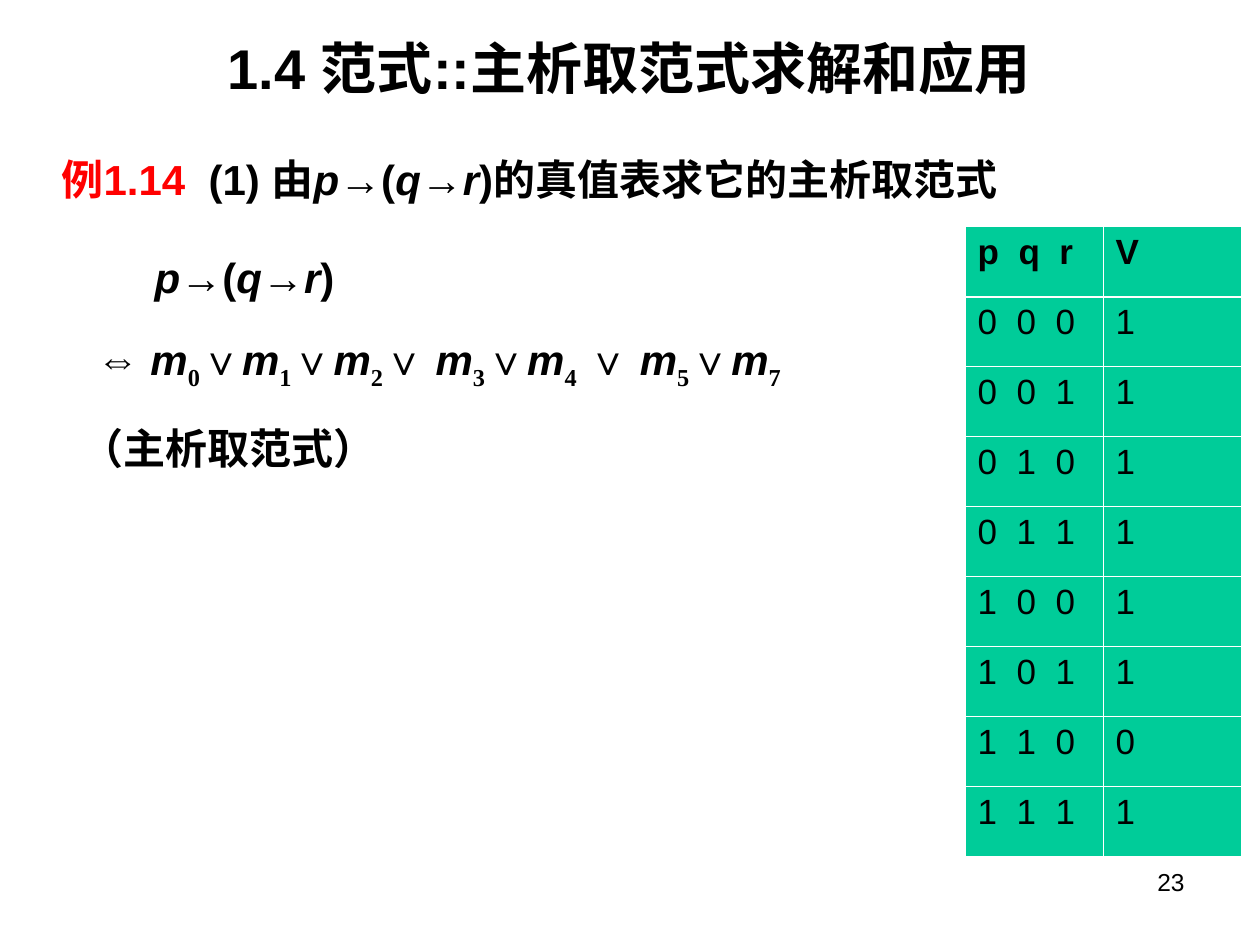
"""Build the slide on finding a principal disjunctive normal form from a truth table."""
import lxml.etree
import pptx
import pptx.dml.color
import pptx.enum.text
import pptx.oxml
import pptx.oxml.ns
import pptx.util

BLACK = pptx.dml.color.RGBColor(0x00, 0x00, 0x00)
RED = pptx.dml.color.RGBColor(0xFF, 0x00, 0x00)
GREEN = pptx.dml.color.RGBColor(0x00, 0xCC, 0x99)
WHITE = pptx.dml.color.RGBColor(0xFF, 0xFF, 0xFF)
ALIGN = pptx.enum.text.PP_ALIGN
ANCHOR = pptx.enum.text.MSO_ANCHOR
Pt = pptx.util.Pt

deck = pptx.Presentation()
deck.slide_width = pptx.util.Inches(10)
deck.slide_height = pptx.util.Inches(7.5)
column = deck.slide_width / 100
row = deck.slide_height / 100
slide = deck.slides.add_slide(deck.slide_layouts[6])


def write(paragraph, pieces, color=BLACK, baseline=0, **formats):
    for text, changes in pieces:
        values = {"name": "Arial", "size": Pt(24), "bold": True, "italic": False,
                  "color": color, "baseline": baseline, **formats, **changes}
        run = paragraph.add_run()
        run.text = text
        run.font.color.rgb = values.pop("color")
        shift = values.pop("baseline")
        for attribute, value in values.items():
            setattr(run.font, attribute, value)
        properties = run.font._element
        if shift:
            properties.set("baseline", str(shift))
        east_asian = lxml.etree.SubElement(properties, pptx.oxml.ns.qn("a:ea"))
        east_asian.set("typeface", "Noto Sans CJK SC")


def add_text(left, top, width, height, anchor=ANCHOR.TOP):
    box = slide.shapes.add_textbox(int(left * column), int(top * row),
                                   int(width * column), int(height * row))
    box.text_frame.word_wrap = True
    box.text_frame.vertical_anchor = anchor
    return box.text_frame


VARIABLE = {"italic": True}
SERIF = {"name": "Times New Roman"}
INDEX = {**SERIF, "baseline": -25000}
implication = [("p", VARIABLE), ("→(", {}), ("q", VARIABLE), ("→", {}), ("r", VARIABLE)]

title = add_text(2.3, 4.1, 95.3, 6.1, ANCHOR.MIDDLE).paragraphs[0]
title.alignment = ALIGN.CENTER
write(title, [("1.4 范式::主析取范式求解和应用", {})], size=Pt(32))

example = add_text(3.9, 15.6, 93, 8.3).paragraphs[0]
write(example, [("例1.14  ", {"color": RED}), ("(1) 由", {}), *implication,
                (")的真值表求它的主析取范式", {})])

page_number = add_text(71.7, 91.1, 23.3, 6.9).paragraphs[0]
page_number.alignment = ALIGN.RIGHT
write(page_number, [("23", {})], size=Pt(14), bold=False)

minterms = [("⇔ ", {})]
for index, joiner in zip("0123457", ["∨", "∨", "∨ ", "∨", " ∨ ", "∨", ""]):
    minterms += [("m", VARIABLE), (index, INDEX)]
    if joiner:
        minterms.append((joiner, SERIF))

derivation = add_text(4.7, 26, 70.3, 30.3)
steps = [(6.6, [*implication, (")", {})]),
         (2, minterms),
         (0.8, [("（主析取范式）", SERIF)])]
for number, (indent, pieces) in enumerate(steps):
    step = derivation.add_paragraph() if number else derivation.paragraphs[0]
    step._p.get_or_add_pPr().set("marL", str(int(indent * column)))
    if number:
        step.space_before = Pt(18)
    write(step, pieces)

truth_values = [("p  q  r", "V")]
for case in range(8):
    p, q, r = case >> 2, case >> 1 & 1, case & 1
    truth_values.append((f"{p}  {q}  {r}", str(int(not (p and q and not r)))))

truth_table = slide.shapes.add_table(len(truth_values), 2, int(76.6 * column), int(24 * row),
                                     int(21.9 * column), int(66.7 * row)).table
truth_table.horz_banding = False
for line, values in enumerate(truth_values):
    for position, value in enumerate(values):
        cell = truth_table.cell(line, position)
        for side in "LRTB":
            heavy = (line, side) in [(0, "B"), (1, "T")]
            cell._tc.get_or_add_tcPr().append(pptx.oxml.parse_xml(
                f'<a:ln{side} {pptx.oxml.ns.nsdecls("a")} w="{Pt(1.5 if heavy else 0.5)}">'
                f'<a:solidFill><a:srgbClr val="{WHITE}"/></a:solidFill></a:ln{side}>'))
        cell.fill.solid()
        cell.fill.fore_color.rgb = GREEN
        write(cell.text_frame.paragraphs[0], [(value, {})], size=Pt(20), bold=line == 0)

deck.save("out.pptx")
